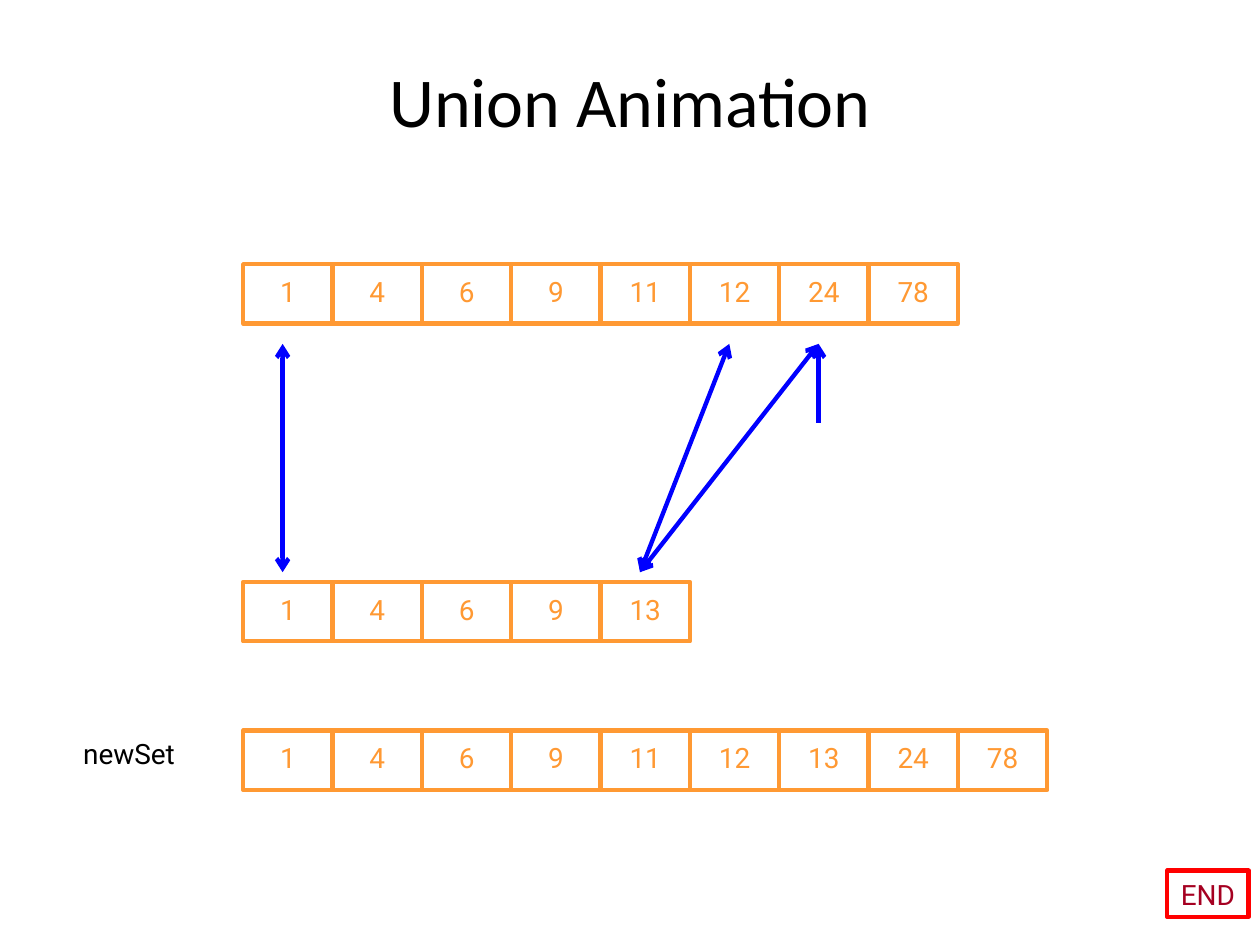
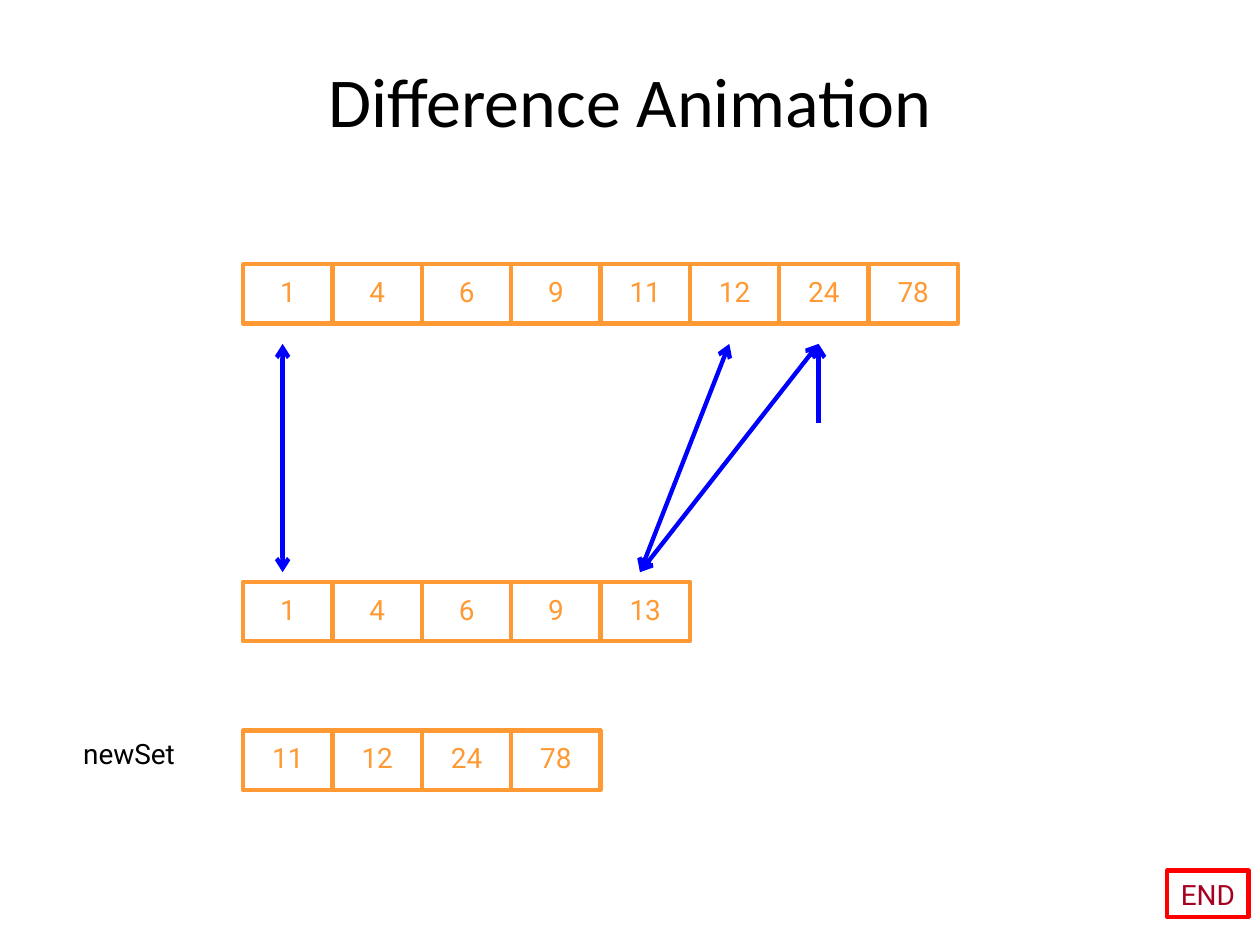
from lxml import etree
from pptx import Presentation
from pptx import util as u
from pptx.dml.color import RGBColor
from pptx.enum import shapes, text
from pptx.oxml import ns

# Content
FIRST_SET = [1, 4, 6, 9, 11, 12, 24, 78]
SECOND_SET = [1, 4, 6, 9, 13]
SLIDES = [
    ("Union Animation", [1, 4, 6, 9, 11, 12, 13, 24, 78]),
    ("Difference Animation", [11, 12, 24, 78]),
]
# Compared cells: index in the first set, index in the second set
COMPARISONS = [(0, 0), (5, 4), (6, 4)]
REMAINING_CELL = 6

# Shared look
BLACK = RGBColor(0x00, 0x00, 0x00)
ORANGE = RGBColor(0xFF, 0x99, 0x33)
BLUE = RGBColor(0x00, 0x00, 0xFF)
RED = RGBColor(0xFF, 0x00, 0x00)
DARK_RED = RGBColor(0xA5, 0x00, 0x21)
TITLE_FONT = {"name": "Calibri", "size": u.Pt(40)}
BODY_FONT = {"name": "Roboto", "size": u.Pt(16)}
LINE_WIDTH = u.Pt(2.5)

# Geometry in points
TITLE_BOX = (54, 31.5, 612, 51)
LABEL_BOX = (42.5, 424, 62.5, 16.5)
END_BOX = (667, 497.5, 46.5, 26.5)
ROW_LEFT, CELL_WIDTH, CELL_HEIGHT = 139, 51.05, 34
FIRST_TOP, SECOND_TOP, RESULT_TOP = 151, 332.5, 417.5
ARROW_INSET = 22.5
ARROW_TOP, ARROW_BOTTOM, SHORT_ARROW_BOTTOM = 196.5, 327, 242


def points(values):
    return [u.Pt(value) for value in values]


def set_attributes(target, values):
    for name, value in values.items():
        setattr(target, name, value)


def write(shape, content, font, color, line_spacing=1.0, **frame_format):
    frame = shape.text_frame
    frame.text = str(content)
    set_attributes(frame, {"vertical_anchor": text.MSO_ANCHOR.MIDDLE,
                           "auto_size": text.MSO_AUTO_SIZE.NONE, **frame_format})
    paragraph = frame.paragraphs[0]
    set_attributes(paragraph, {"alignment": text.PP_ALIGN.CENTER,
                               "line_spacing": line_spacing})
    set_attributes(paragraph.font, font)
    paragraph.font.color.rgb = color


def no_margins():
    return {f"margin_{side}": 0 for side in ("left", "top", "right", "bottom")}


def add_frame(slide, box, content, line_color, text_color, **text_format):
    shape = slide.shapes.add_shape(shapes.MSO_SHAPE.RECTANGLE, *points(box))
    shape.shadow.inherit = False
    shape.fill.background()
    shape.line.color.rgb = line_color
    shape.line.width = LINE_WIDTH
    write(shape, content, BODY_FONT, text_color, word_wrap=False, **text_format)


def add_row(slide, top, values):
    for index, value in enumerate(values):
        box = (ROW_LEFT + index * CELL_WIDTH, top, CELL_WIDTH, CELL_HEIGHT)
        add_frame(slide, box, value, ORANGE, ORANGE, line_spacing=0.85, **no_margins())


def arrow_x(index):
    return ROW_LEFT + index * CELL_WIDTH + ARROW_INSET


def add_arrow(slide, start, end, ends=("headEnd", "tailEnd")):
    connector = slide.shapes.add_connector(
        shapes.MSO_CONNECTOR.STRAIGHT, *points(start + end))
    connector.line.color.rgb = BLUE
    connector.line.width = LINE_WIDTH
    properties = connector.element.spPr
    outline = properties.find(ns.qn("a:ln"))
    for name in ends:
        etree.SubElement(outline, ns.qn(f"a:{name}"), type="arrow")
    etree.SubElement(properties, ns.qn("a:effectLst"))


def build_slide(presentation, title, result):
    slide = presentation.slides.add_slide(presentation.slide_layouts[5])

    # Title
    heading = slide.shapes.title
    set_attributes(heading, dict(zip(("left", "top", "width", "height"),
                                     points(TITLE_BOX))))
    write(heading, title, TITLE_FONT, BLACK)

    # Sets and the result
    add_row(slide, FIRST_TOP, FIRST_SET)
    add_row(slide, SECOND_TOP, SECOND_SET)
    add_row(slide, RESULT_TOP, result)

    # Comparison arrows
    for first, second in COMPARISONS:
        add_arrow(slide, (arrow_x(first), ARROW_TOP), (arrow_x(second), ARROW_BOTTOM))
    remaining_x = arrow_x(REMAINING_CELL)
    add_arrow(slide, (remaining_x, ARROW_TOP), (remaining_x, SHORT_ARROW_BOTTOM),
              ends=("headEnd",))

    # Result label and end marker
    label = slide.shapes.add_textbox(*points(LABEL_BOX))
    write(label, "newSet", BODY_FONT, BLACK, line_spacing=0.85, word_wrap=True,
          **{**no_margins(), "vertical_anchor": text.MSO_ANCHOR.TOP})
    add_frame(slide, END_BOX, "END", RED, DARK_RED)


def main():
    presentation = Presentation()
    presentation.slide_width, presentation.slide_height = points((720, 540))
    for title, result in SLIDES:
        build_slide(presentation, title, result)
    presentation.save("out.pptx")


if __name__ == "__main__":
    main()
